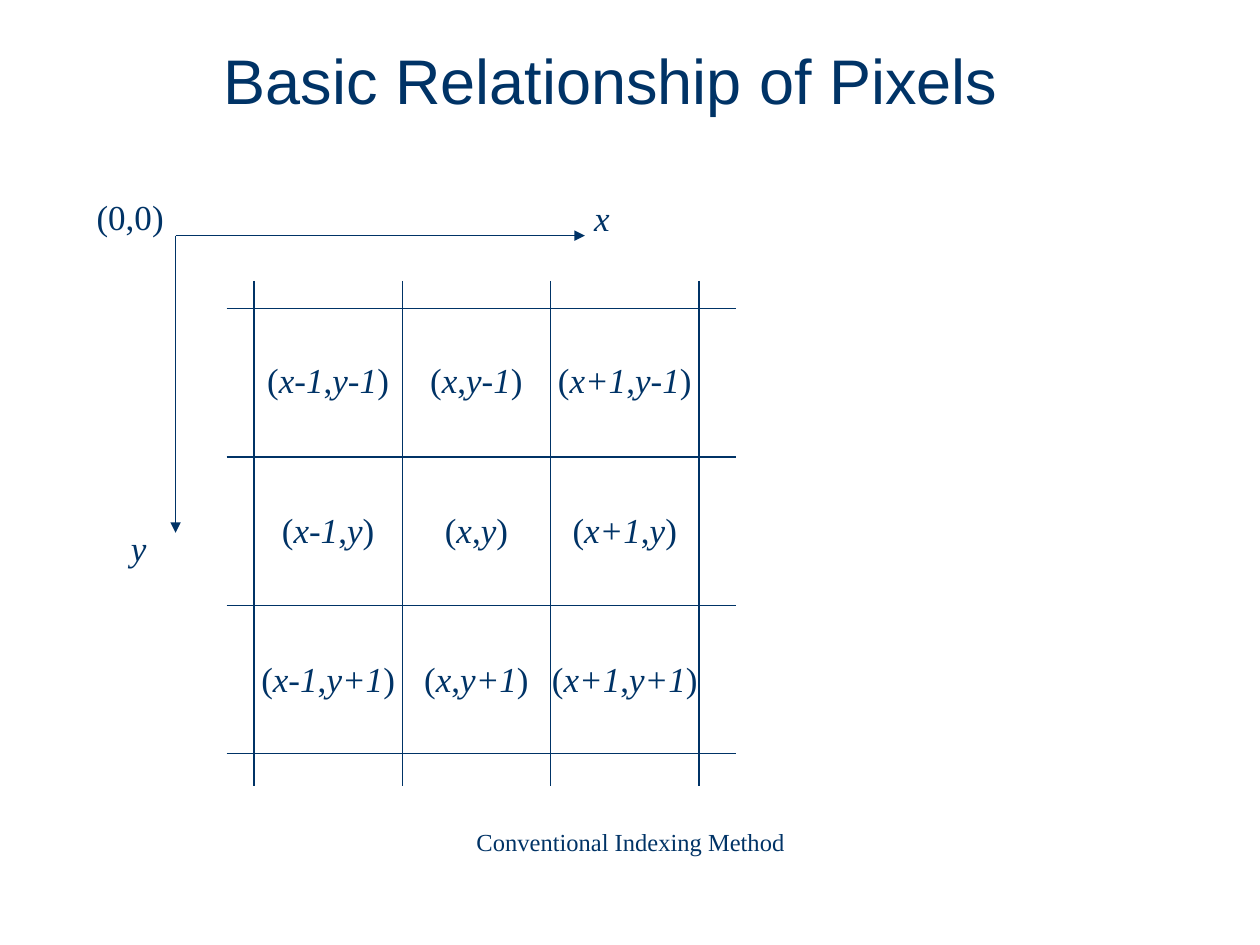
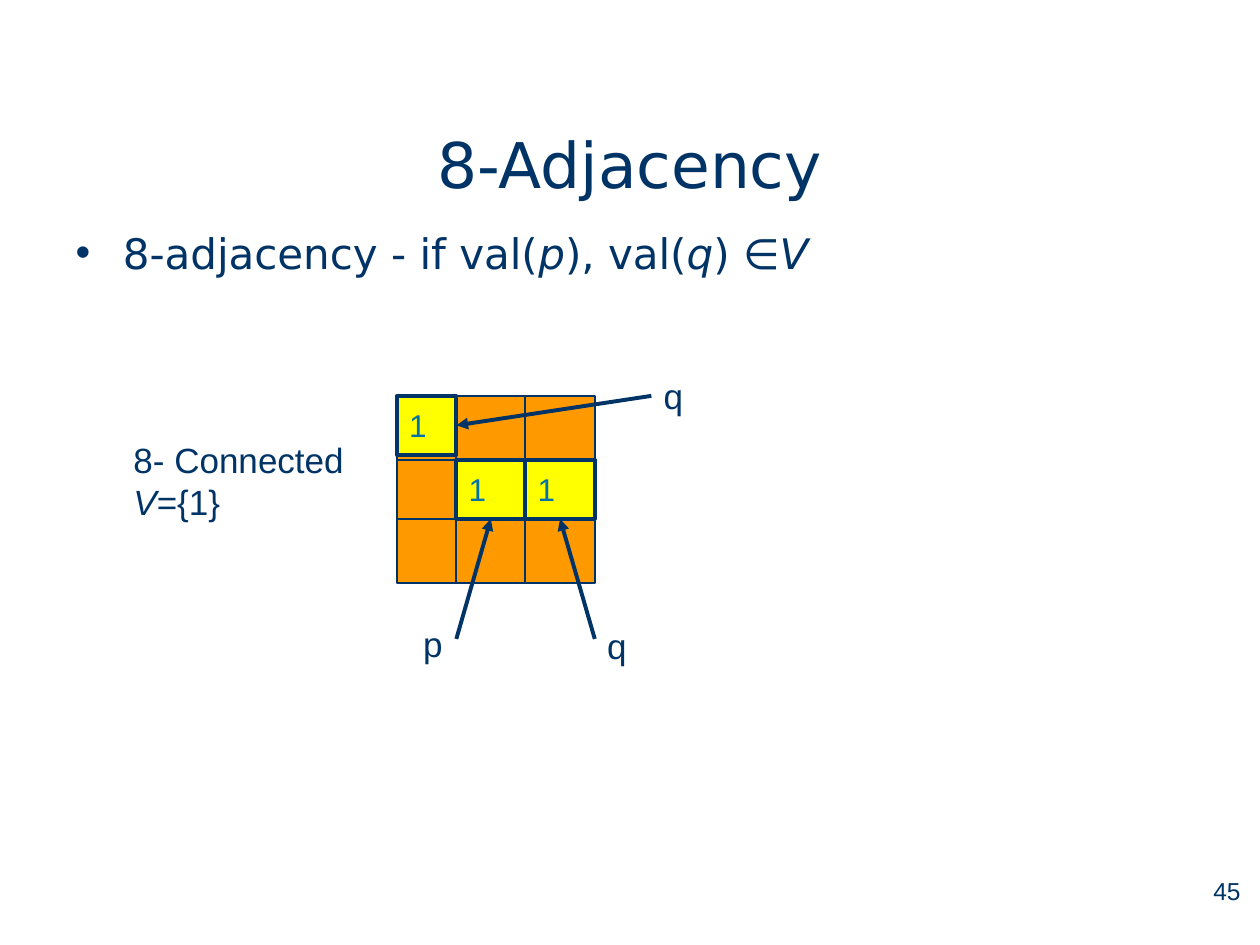
"""Build two slides on pixel indexing and 8-adjacency."""
from lxml import etree
from pptx import Presentation, util as u
from pptx.dml.color import RGBColor
from pptx.enum import shapes, text
from pptx.oxml.ns import qn

rgb = RGBColor.from_string
NAVY, ORANGE, YELLOW, BLUE = "003366", "FF9900", "FFFF00", "0072AB"
SANS, SERIF, TITLE = "Arial", "Times New Roman", "DejaVu Sans"
LEFT, CENTER = text.PP_ALIGN.LEFT, text.PP_ALIGN.CENTER
TOP, MIDDLE = text.MSO_ANCHOR.TOP, text.MSO_ANCHOR.MIDDLE


def write(holder, words, box, size=20, font=SANS, color=NAVY, align=LEFT, anchor=TOP, wrap=True):
    """Place the holder and fill it with words; *stars* enclose italics."""
    holder.left, holder.top, holder.width, holder.height = map(u.Cm, box)
    frame = holder.text_frame
    frame.auto_size = text.MSO_AUTO_SIZE.NONE
    frame.word_wrap = wrap
    frame.vertical_anchor = anchor
    for number, line in enumerate(words.split("\n")):
        paragraph = frame.add_paragraph() if number else frame.paragraphs[0]
        paragraph.alignment = align
        paragraph.space_before = u.Pt(0)
        for position, part in enumerate(line.split("*")):
            if part:
                run = paragraph.add_run()
                run.text = part
                run.font.size, run.font.name = u.Pt(size), font
                run.font.italic = position % 2 == 1
                run.font.color.rgb = rgb(color)


def rule(slide, x1, y1, x2, y2, width=0.75, arrow=False):
    """Draw a straight line, with an arrowhead at its end if wanted."""
    line = slide.shapes.add_connector(shapes.MSO_CONNECTOR.STRAIGHT, *map(u.Cm, (x1, y1, x2, y2)))
    line.line.color.rgb = rgb(NAVY)
    line.line.width = u.Pt(width)
    etree.SubElement(line._element.spPr, qn("a:effectLst"))
    if arrow:
        etree.SubElement(line.line._get_or_add_ln(), qn("a:tailEnd"), type="triangle")
    return line


deck = Presentation()
deck.slide_width, deck.slide_height = u.Cm(25.4), u.Cm(19.05)

indexing = deck.slides.add_slide(deck.slide_layouts[5])
write(indexing.shapes.title, "Basic Relationship of Pixels", (1.52, 0, 21.59, 3.18),
      size=36, align=CENTER, anchor=MIDDLE)
rule(indexing, 3.54, 4.75, 11.79, 4.75, arrow=True)
rule(indexing, 3.54, 4.75, 3.54, 10.74, arrow=True)
for words, box, size in [
    ("*x*", (11.73, 3.84, 0.81, 1.12), 20),
    ("*y*", (2.39, 10.49, 0.81, 1.12), 20),
    ("(0,0)", (1.7, 3.81, 1.85, 1.12), 20),
    ("Conventional Indexing Method", (9.35, 16.54, 6.73, 0.86), 14),
]:
    write(indexing.shapes.add_textbox(0, 0, 0, 0), words, box,
          size=size, font=SERIF, align=CENTER, wrap=False)

grid_left, grid_top, pitch = 5.12, 6.22, 2.99
for step in range(4):
    x, y = grid_left + step * pitch, grid_top + step * pitch
    rule(indexing, x, 5.66, x, 15.85)
    rule(indexing, 4.57, y, 14.83, y)

offset_widths = {"-1": 0.58, "": 0, "+1": 0.84}
for row, (dy, dy_width) in enumerate(offset_widths.items()):
    for column, (dx, dx_width) in enumerate(offset_widths.items()):
        width = 1.78 + dx_width + dy_width
        left = grid_left + (column + 0.5) * pitch - width / 2
        write(indexing.shapes.add_textbox(0, 0, 0, 0), f"(*x{dx}*,*y{dy}*)",
              (left, 7.11 + row * 3.01, width, 1.12), font=SERIF, align=CENTER, wrap=False)

adjacency = deck.slides.add_slide(deck.slide_layouts[1])
write(adjacency.shapes.title, "8-Adjacency", (1.9, 1.7, 21.59, 3.18),
      size=36, font=TITLE, align=CENTER, anchor=MIDDLE)
write(adjacency.placeholders[1], "8-adjacency - if val(*p*), val(*q*) ∈*V*",
      (1.27, 4.45, 23.24, 12.57), size=24, font=TITLE)

columns, rows = (8, 9.2, 10.59, 11.99), (7.98, 9.27, 10.46, 11.76)
region = adjacency.shapes.add_shape(
    shapes.MSO_SHAPE.RECTANGLE,
    *map(u.Cm, (columns[0], rows[0], columns[3] - columns[0], rows[3] - rows[0])))
region.shadow.inherit = False
region.fill.solid()
region.fill.fore_color.rgb = rgb(ORANGE)
region.line.color.rgb = rgb(NAVY)
region.line.width = u.Pt(1)
for x, y in zip(columns[1:3], rows[1:3]):
    rule(adjacency, x, rows[0], x, rows[3], width=1)
    rule(adjacency, columns[0], y, columns[3], y, width=1)

for column, row, start, side in [
    (1, 1, (9.2, 12.88), 2),
    (2, 1, (11.99, 12.88), 2),
    (0, 0, (13.13, 7.98), 3),
]:
    pixel = adjacency.shapes.add_shape(shapes.MSO_SHAPE.RECTANGLE, 0, 0, 0, 0)
    pixel.shadow.inherit = False
    pixel.fill.solid()
    pixel.fill.fore_color.rgb = rgb(YELLOW)
    pixel.line.color.rgb = rgb(NAVY)
    pixel.line.width = u.Pt(2.25)
    write(pixel, "1", (columns[column], rows[row], columns[column + 1] - columns[column], 1.19),
          size=18, color=BLUE, anchor=MIDDLE)
    pointer = rule(adjacency, *start, *start, width=2.25, arrow=True)
    pointer.end_connect(pixel, side)

for words, box, size in [
    ("8- Connected\n*V*={1}", (2.44, 8.71, 5.56, 1.96), 20),
    ("p", (8.28, 12.42, 1.12, 1.12), 20),
    ("q", (11.99, 12.47, 1.12, 1.12), 20),
    ("q", (13.13, 7.42, 1.12, 1.12), 20),
    ("45", (24.21, 17.53, 1.19, 0.99), 14),
]:
    write(adjacency.shapes.add_textbox(0, 0, 0, 0), words, box, size=size)

deck.save("out.pptx")
